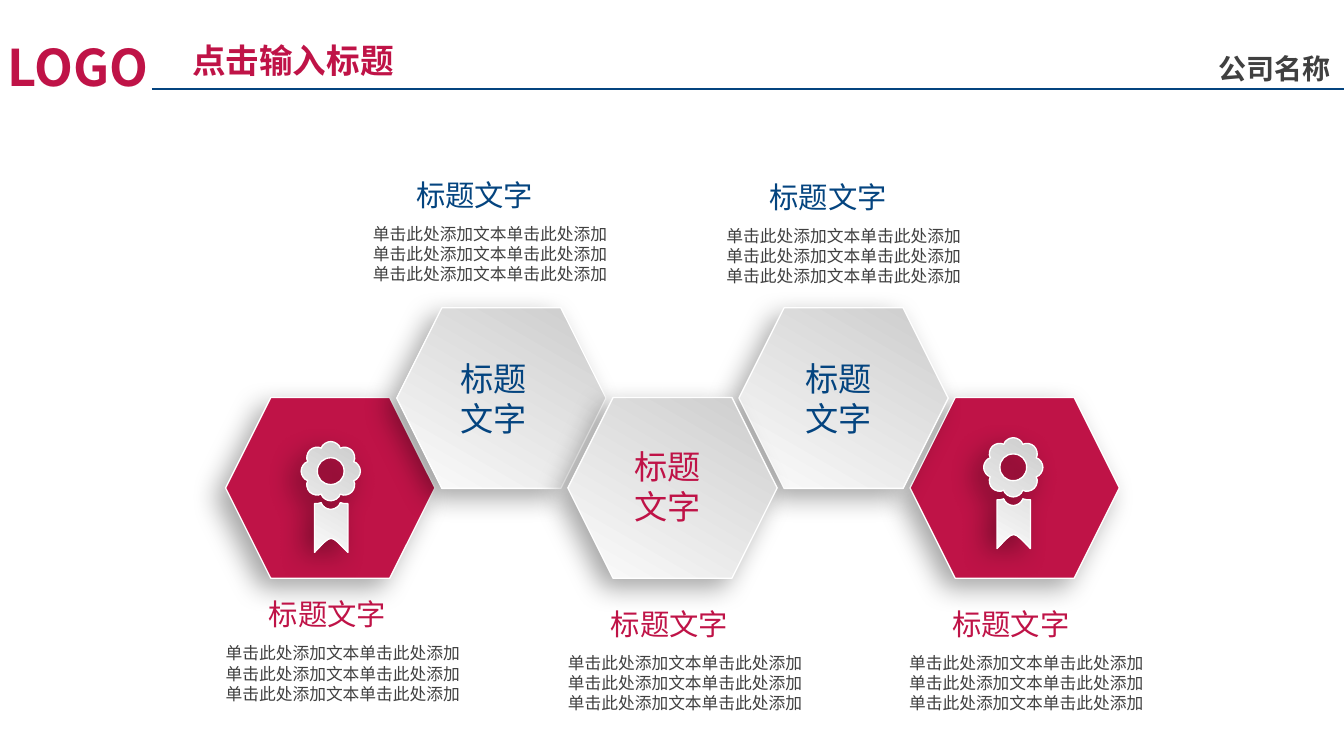
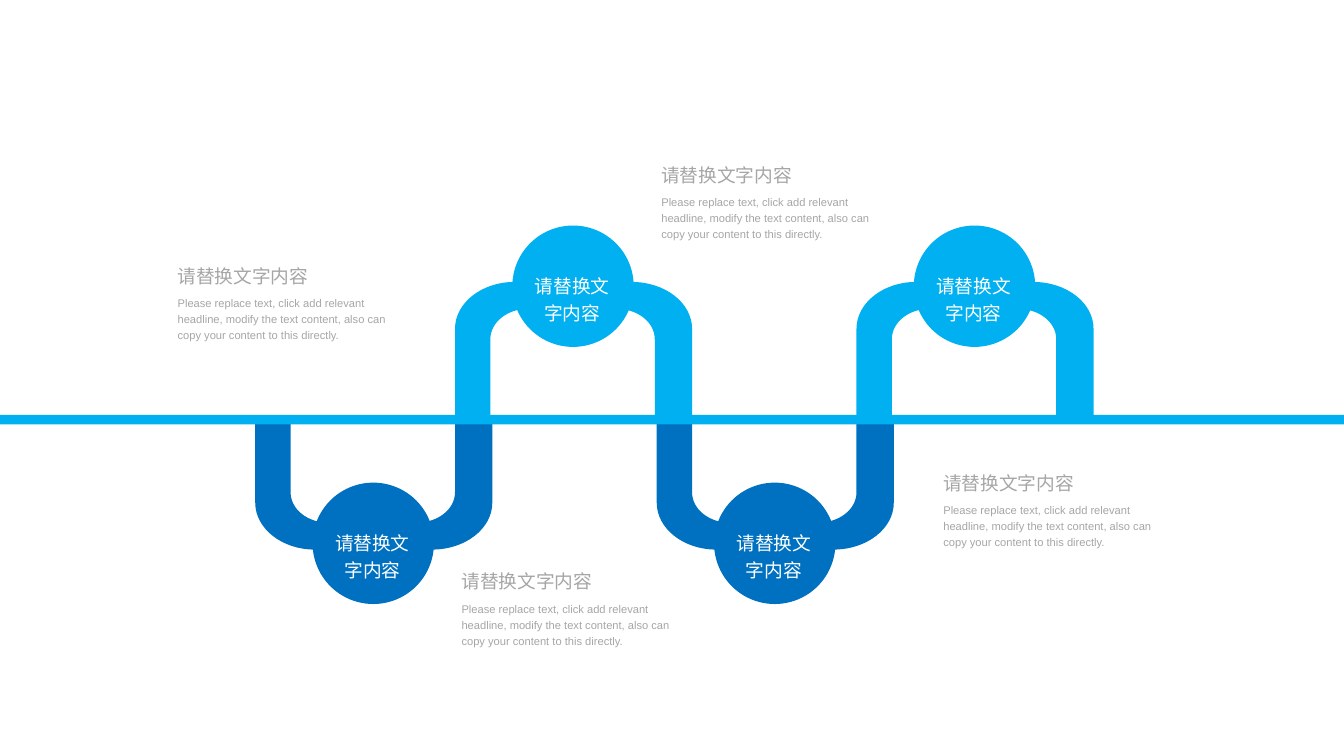
import math

from lxml import etree
from pptx import Presentation
from pptx import util as u
from pptx.dml.color import RGBColor
from pptx.enum import shapes, text
from pptx.oxml.ns import qn

PX = 9144  # 100 px to the inch
WIDTH, HEIGHT = 1406, 791

COLORS = {
    "crimson": "BF1347", "navy": "04447F", "ink": "404040",
    "silver": "CCCCCC", "pearl": "FCFCFC", "black": "000000", "white": "FFFFFF",
    "sky": "00B0F0", "blue": "0070C0", "grey": "A6A6A6",
}
CJK = "Noto Sans CJK SC"
LEFT, CENTER = text.PP_ALIGN.LEFT, text.PP_ALIGN.CENTER
TOP, MIDDLE = text.MSO_ANCHOR.TOP, text.MSO_ANCHOR.MIDDLE

HEADER = dict(face=CJK, bold=True, insets=(8, 4, 8, 4), anchor=MIDDLE)
NOTE = dict(face="Arial", insets=(10, 5, 10, 5), spacing=1.2)
STYLES = {
    "logo": dict(HEADER, size=38, color="crimson"),
    "title": dict(HEADER, size=25.3, color="crimson"),
    "company": dict(HEADER, size=21.1, color="ink"),
    "hexagon": dict(face=CJK, size=25, insets=(10, 5, 10, 5)),
    "heading": dict(face=CJK, size=22.1, insets=(0, 0, 0, 0), align=CENTER),
    "body": dict(face=CJK, size=12.6, color="ink", insets=(0, 0, 10, 5), wrap=True),
    "disc": dict(NOTE, size=14.1, color="white", align=CENTER, wrap=True),
    "note heading": dict(NOTE, size=14.1, color="grey"),
    "note body": dict(NOTE, size=8.4, color="grey", wrap=True),
}

HEXAGON_LABEL = "标题\n文字"
HEADING = "标题文字"
BODY = "\n".join(["单击此处添加文本单击此处添加"] * 3)
NOTE_HEADING = "请替换文字内容"
NOTE_BODY = ("Please replace text, click add relevant headline, modify the text "
             "content, also can copy your content to this directly.")


def rgb(name):
    return RGBColor.from_string(COLORS[name])


def emu(*lengths):
    return [u.Emu(round(length * PX)) for length in lengths]


def write(shape, wording, style, color=None):
    look = STYLES[style]
    frame = shape.text_frame
    margins = zip(("left", "top", "right", "bottom"), emu(*look["insets"]))
    settings = {f"margin_{side}": margin for side, margin in margins}
    settings.update(word_wrap=look.get("wrap", False),
                    vertical_anchor=look.get("anchor", TOP),
                    auto_size=text.MSO_AUTO_SIZE.SHAPE_TO_FIT_TEXT)
    for name, value in settings.items():
        setattr(frame, name, value)
    frame.text = wording
    font_values = dict(size=u.Pt(look["size"]), name=look["face"],
                       bold=look.get("bold", False))
    for paragraph in frame.paragraphs:
        paragraph.alignment = look.get("align", LEFT)
        paragraph.line_spacing = look.get("spacing", 1.0)
        run = paragraph.runs[0]
        for name, value in font_values.items():
            setattr(run.font, name, value)
        run.font.color.rgb = rgb(color or look["color"])
        latin = run._r.get_or_add_rPr().find(qn("a:latin"))
        latin.addnext(etree.Element(qn("a:ea"), typeface=CJK))


def add_text(slide, box, wording, style, color=None):
    write(slide.shapes.add_textbox(*emu(*box)), wording, style, color)


def paint(shape, color):
    shape.shadow.inherit = False
    shape.fill.solid()
    shape.fill.fore_color.rgb = rgb(color)
    shape.line.fill.background()


def emboss(shape, color=None):
    """White edge and soft shadow; a silver gradient unless a colour is given."""
    if color:
        paint(shape, color)
    else:
        shape.fill.gradient()
        shape.fill.gradient_angle = 240
        for stop, name in zip(shape.fill.gradient_stops, ("silver", "pearl")):
            stop.color.rgb = rgb(name)
    shape.line.color.rgb = rgb("white")
    shape.line.width = u.Pt(1)
    shape.shadow.inherit = False
    effects = shape._element.spPr.find(qn("a:effectLst"))
    shadow = etree.SubElement(
        effects, qn("a:outerShdw"), blurRad=str(u.Pt(20)), dist=str(u.Pt(10)),
        dir=str(136 * 60000), algn="ctr", rotWithShape="0")
    tint = etree.SubElement(shadow, qn("a:srgbClr"), val=COLORS["black"])
    etree.SubElement(tint, qn("a:alpha"), val="34000")


def add_outline(slide, left, top, contours):
    """Closed contours: one-point steps are lines, three-point steps Bezier curves."""
    builder = None
    for contour in contours:
        start, *points = [emu(left + x, top + y) for step in contour for x, y in step]
        if builder:
            builder.move_to(*start)
        else:
            builder = slide.shapes.build_freeform(*start, scale=1.0)
        builder.add_line_segments(points, close=True)
    outline = builder.convert_to_shape()
    segments = outline._element.spPr.iter(qn("a:lnTo"))
    segments = iter(list(segments))
    for step in (step for contour in contours for step in contour[1:]):
        group = [next(segments) for _ in step]
        if len(group) == 3:
            bezier = etree.Element(qn("a:cubicBezTo"))
            group[0].addprevious(bezier)
            for segment in group:
                bezier.append(segment[0])
                segment.getparent().remove(segment)
    return outline


def add_medal(slide, left, top):
    def turned(step, degrees):
        cos, sin = math.cos(math.radians(degrees)), math.sin(math.radians(degrees))
        return [(31 + x * cos - y * sin, 31 + x * sin + y * cos) for x, y in step]

    petal = [[(-9, -28), (-4, -31), (0, -31)], [(4, -31), (9, -28), (10, -24)]]
    quarter = [(8, -14), (14, -8), (14, 0)]
    flower = [turned([(-10, -24)], 0)]
    flower += [turned(step, 45 * turn) for turn in range(8) for step in petal]
    hole = [turned([(0, -14)], 0)] + [turned(quarter, 90 * turn) for turn in range(4)]
    ribbon = [[(21, 64)], [(19, 65), (16, 65), (14, 65)], [(14, 116)],
              [(33, 96), (30, 97), (49, 116)], [(49, 65)],
              [(46, 65), (43, 65), (41, 64)], [(40, 68), (35, 71), (31, 71)],
              [(27, 71), (22, 68), (21, 64)]]
    emboss(add_outline(slide, left, top, [flower, hole, ribbon]))


def add_hexagon(slide, column, color=None):
    """Place one cell of the zigzag row and return its corner."""
    left, top = 236 + 179 * column, 416 - 94 * (column % 2)
    cell = slide.shapes.add_shape(shapes.MSO_SHAPE.HEXAGON, *emu(left, top, 219, 189))
    emboss(cell, color)
    return left, top


def add_caption(slide, left, top, color):
    add_text(slide, (left, top + 49, 269, 69), BODY, "body")
    add_text(slide, (left + 44, top, 125, 37), HEADING, "heading", color)


def add_header(slide):
    rule = slide.shapes.add_connector(
        shapes.MSO_CONNECTOR.STRAIGHT, *emu(159, 93, WIDTH, 93))
    rule.line.color.rgb = rgb("navy")
    rule.line.width = u.Pt(1)
    etree.SubElement(rule._element.spPr, qn("a:effectLst"))
    add_text(slide, (1267, 50, 134, 43), "公司名称", "company")
    add_text(slide, (0, 33, 173, 72), "LOGO", "logo")
    title = slide.shapes.title
    title.left, title.top, title.width, title.height = emu(193, 37, 228, 51)
    write(title, "点击输入标题", "title")


def build_hexagon_slide(slide):
    for column, medal_x, medal_y in ((0, 79, 46), (4, 77, 42)):
        left, top = add_hexagon(slide, column, "crimson")
        add_medal(slide, left + medal_x, top + medal_y)
    for column, label_x, label_y, color in ((1, 57, 48, "navy"), (3, 60, 48, "navy"),
                                            (2, 60, 46, "crimson")):
        left, top = add_hexagon(slide, column)
        add_text(slide, (left + label_x, top + label_y, 90, 94),
                 HEXAGON_LABEL, "hexagon", color)
    for left, top, color in ((236, 624, "crimson"), (594, 634, "crimson"),
                             (951, 634, "crimson"), (390, 185, "navy"), (760, 187, "navy")):
        add_caption(slide, left, top, color)
    add_header(slide)


def add_pipe(slide, left, top, color, arched):
    """A U-shaped pipe, turned upside down when arched."""
    steps = [[(0, 0)], [(37, 0)], [(37, 79)], [(37, 97), (55, 111), (77, 111)],
             [(168, 111)], [(191, 111), (209, 97), (209, 79)],
             [(209, 0)], [(248, 0)], [(248, 90)], [(248, 117), (220, 139), (185, 139)],
             [(62, 139)], [(28, 139), (0, 117), (0, 90)]]
    if arched:
        steps = [[(x, 139 - y) for x, y in step] for step in steps]
    paint(add_outline(slide, left, top, [steps]), color)


def add_stage(slide, index):
    arched = index % 2
    left = 267 + 210 * index - arched
    pipe_top, disc_top, color = (295, 236, "sky") if arched else (436, 505, "blue")
    add_pipe(slide, left, pipe_top, color, arched)
    disc = slide.shapes.add_shape(shapes.MSO_SHAPE.OVAL, *emu(left + 60, disc_top, 127, 127))
    paint(disc, color)
    add_text(slide, (left + 68, disc_top + 42, 109, 67), NOTE_HEADING, "disc")


def add_note(slide, left, top):
    add_text(slide, (left, top + 35, 255, 61), NOTE_BODY, "note body")
    add_text(slide, (left, top, 158, 38), NOTE_HEADING, "note heading")


def build_pipeline_slide(slide):
    for index in range(4):
        add_stage(slide, index)
    rail = slide.shapes.add_shape(shapes.MSO_SHAPE.RECTANGLE, *emu(0, 434, WIDTH, 10))
    paint(rail, "sky")
    for left, top in ((176, 267), (473, 587), (682, 162), (977, 484)):
        add_note(slide, left, top)


def main():
    deck = Presentation()
    deck.slide_width, deck.slide_height = emu(WIDTH, HEIGHT)
    title_only, blank = deck.slide_layouts[5], deck.slide_layouts[6]
    build_hexagon_slide(deck.slides.add_slide(title_only))
    build_pipeline_slide(deck.slides.add_slide(blank))
    deck.save("out.pptx")


if __name__ == "__main__":
    main()
